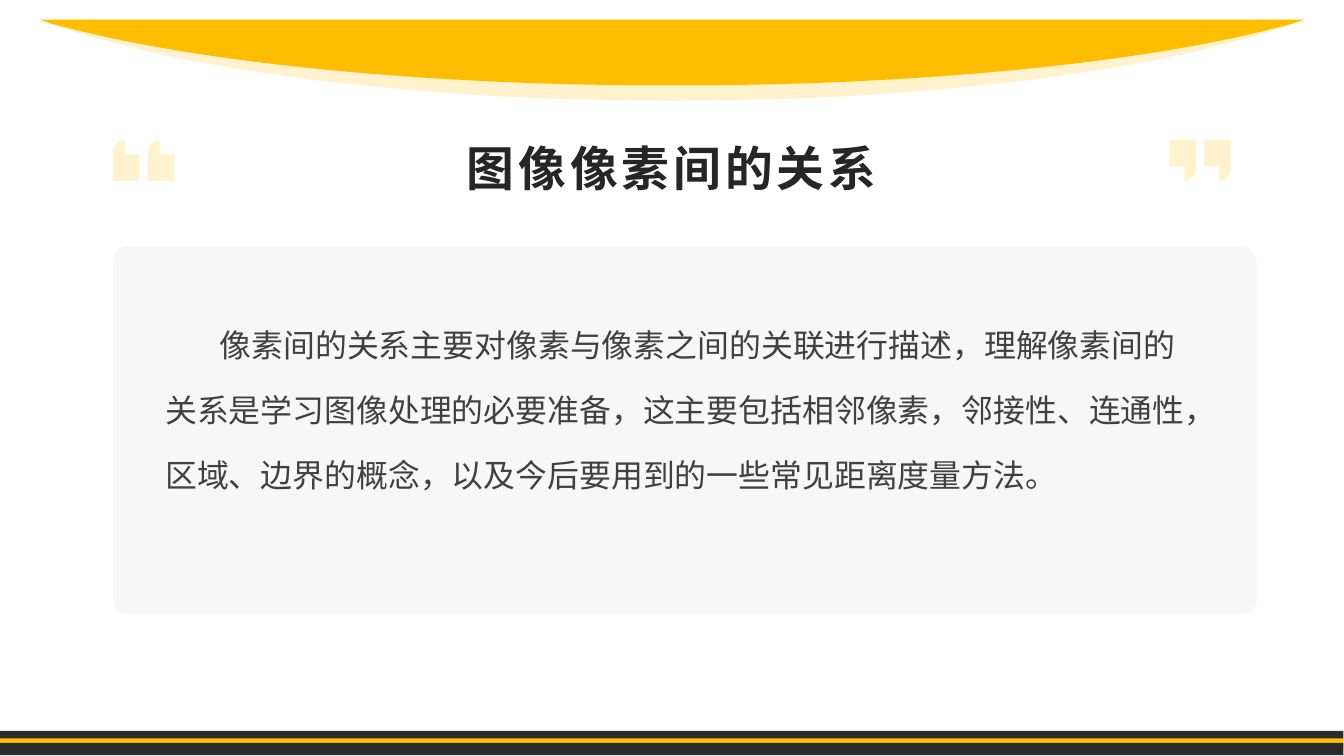
from lxml import etree
from pptx import Presentation
from pptx.dml.color import RGBColor
from pptx.enum.shapes import MSO_SHAPE
from pptx.enum.text import MSO_ANCHOR, PP_ALIGN
from pptx.oxml.ns import qn
from pptx.util import Pt

RECT = MSO_SHAPE.RECTANGLE
ROUND = MSO_SHAPE.ROUNDED_RECTANGLE
BOTTOM = MSO_ANCHOR.BOTTOM
CENTER = PP_ALIGN.CENTER

DARK = RGBColor(0x2A, 0x2B, 0x2D)
GOLD = RGBColor(0xFF, 0xC0, 0x00)
AMBER = RGBColor(0xFF, 0xBD, 0x00)
CREAM = RGBColor(0xFF, 0xF2, 0xCC)
PALE = RGBColor(0xF2, 0xF2, 0xF2)
INK = RGBColor(0x26, 0x26, 0x26)
GRAY = RGBColor(0x40, 0x40, 0x40)

CJK = "Noto Sans CJK SC"
LATIN = "Arial"
WIDTH, HEIGHT = 1012.5, 569.53

TITLE = "图像像素间的关系"
BODY = ("像素间的关系主要对像素与像素之间的关联进行描述，理解像素间的关系是学习图像处理的"
        "必要准备，这主要包括相邻像素，邻接性、连通性，区域、边界的概念，以及今后要用到的"
        "一些常见距离度量方法。")


def paint(shape, color):
    shape.shadow.inherit = False
    shape.fill.solid()
    shape.fill.fore_color.rgb = color
    shape.line.fill.background()


def add_block(shapes, kind, box, color):
    shape = shapes.add_shape(kind, *map(Pt, box))
    paint(shape, color)
    return shape


def add_panel(shapes, box):
    """Add the rounded text panel, 60% opaque."""
    panel = add_block(shapes, ROUND, box, PALE)
    panel.adjustments[0] = 0.042
    tint = panel.fill._xPr.find(".//" + qn("a:srgbClr"))
    etree.SubElement(tint, qn("a:alpha")).set("val", "60000")


def add_outline(shapes, points, curves, color):
    """Draw a closed outline; each index in curves starts a cubic triple."""
    points = [(Pt(x), Pt(y)) for x, y in points]
    pen = shapes.build_freeform(*points[0])
    pen.add_line_segments(points[1:], close=True)
    shape = pen.convert_to_shape()
    lines = list(shape._element.iter(qn("a:lnTo")))
    for start in curves:
        triple = lines[start - 1:start + 2]
        cubic = etree.Element(qn("a:cubicBezTo"))
        triple[0].addprevious(cubic)
        for line in triple:
            cubic.append(line[0])
            line.getparent().remove(line)
    paint(shape, color)


def add_bowl(shapes, depth, color):
    """Add the symmetric curved band that hangs at the top."""
    mid, top = WIDTH / 2, 14.7
    right = [(476.3, 0), (467.5, 0.06), (366, 0.63), (195, 1), (0, 1)]
    left = [(-x, y) for x, y in reversed(right[:-1])]
    ring = left[-1:] + right + left[:-1]
    points = [(mid + x, top + depth * y) for x, y in ring]
    add_outline(shapes, points, (3, 6), color)


def add_quotes(shapes, lefts, top, turn):
    """Add a pair of quote marks; turn is 1 for closing, -1 for opening."""
    group = shapes.add_group_shape()
    mark = [(0, 0), (20, 0), (20, 19.7), (20, 29.5), (12.5, 31), (11, 31),
            (11, 20), (0, 20)]
    for left in lefts:
        points = [(left + turn * x, top + turn * y) for x, y in mark]
        add_outline(group.shapes, points, (3,), CREAM)


def add_text(shapes, box, text, size, color, font, spacing):
    frame = shapes.add_textbox(*map(Pt, box)).text_frame
    frame.word_wrap = True
    frame.text = text
    para = frame.paragraphs[0]
    para.line_spacing = spacing
    run = para.runs[0]
    run.font.size = Pt(size)
    run.font.color.rgb = color
    run.font.name = font
    etree.SubElement(run.font._rPr, qn("a:ea")).set("typeface", CJK)
    return frame, para, run


def add_title(shapes):
    box = (137.5, 90, 737.3, 61.2)
    frame, para, run = add_text(shapes, box, TITLE, 36, INK, CJK, 1.2)
    frame.vertical_anchor = BOTTOM
    para.alignment = CENTER
    run.font.bold = True
    run.font._rPr.set("spc", "300")


def add_body(shapes):
    box = (117.4, 221.8, 796.3, 292.3)
    _, para, _ = add_text(shapes, box, BODY, 24, GRAY, LATIN, 1.7)
    para.space_before = Pt(10)
    props = para._p.get_or_add_pPr()
    props.set("marL", "0")
    props.set("indent", str(Pt(41)))


def main():
    deck = Presentation()
    deck.slide_width, deck.slide_height = Pt(WIDTH), Pt(HEIGHT)
    shapes = deck.slides.add_slide(deck.slide_layouts[6]).shapes

    for top, high, color in ((550.6, 6.5, DARK), (556.2, 6.5, GOLD),
                             (559.6, 9.4, DARK)):
        add_block(shapes, RECT, (-0.5, top, WIDTH, high), color)
    add_panel(shapes, (85, 185.8, 861.8, 277.2))
    add_bowl(shapes, 61.2, CREAM)
    add_title(shapes)
    add_body(shapes)
    add_bowl(shapes, 49.7, AMBER)
    add_quotes(shapes, (881.2, 907.4), 105.4, 1)
    add_quotes(shapes, (131.3, 105.1), 136.3, -1)
    deck.save("out.pptx")


if __name__ == "__main__":
    main()
